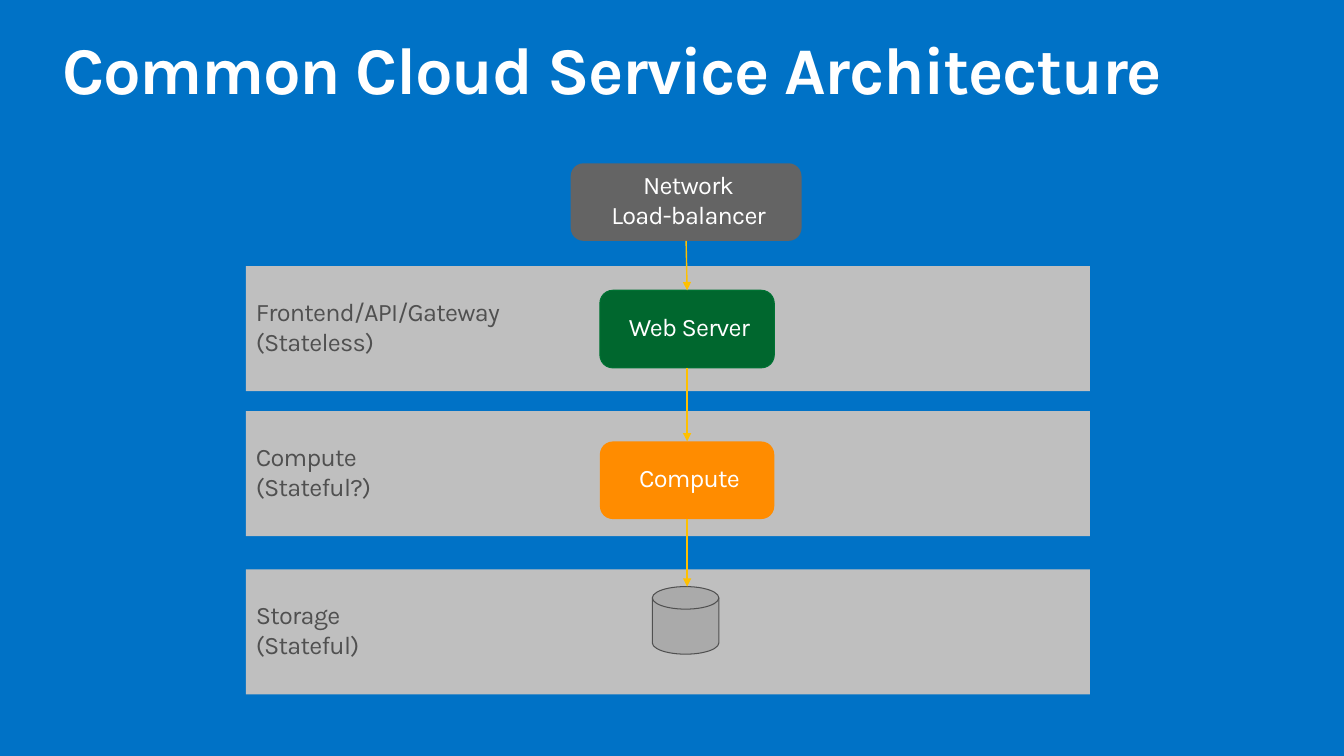
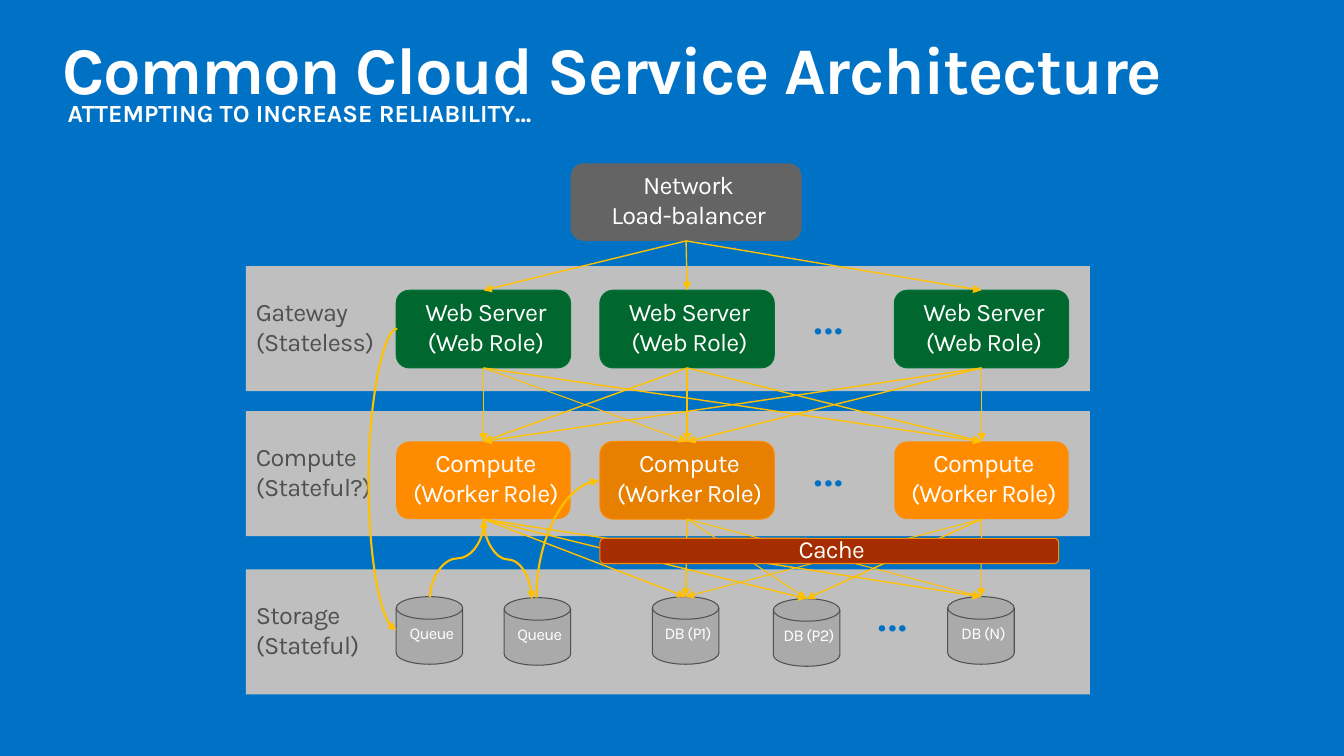
from itertools import product

from lxml import etree
from pptx import Presentation
from pptx.dml.color import RGBColor
from pptx.enum.shapes import MSO_CONNECTOR as CONNECTOR, MSO_SHAPE as SHAPE
from pptx.enum.text import MSO_ANCHOR as ANCHOR, MSO_AUTO_SIZE as AUTO_SIZE, PP_ALIGN as ALIGN
from pptx.oxml.ns import qn
from pptx.util import Inches, Pt

FONT = "Karla"
BLUE, WHITE, BAND, INK = "0072C6", "FFFFFF", "BFBFBF", "505050"
GREY, GREEN, GREEN_EDGE = "646464", "00672E", "007233"
ORANGE, DARK_ORANGE, RUST, GOLD, DISK = "FF8C00", "E77F00", "A52D00", "FFC000", "AAAAAA"

# Shared geometry: left, top, width, height in inches
TITLE_BOX = (0.62, 0.27, 12.06, 0.82)
SUBTITLE_BOX = (0.67, 1.04, 12.01, 0.33)
BALANCER_BOX = (5.66, 1.62, 2.29, 0.77)
BAND_LEFT, BAND_WIDTH, BAND_HEIGHT = 2.44, 8.37, 1.24
BAND_TOPS = (2.64, 4.08, 5.65)
NODE_WIDTH, NODE_HEIGHT = 1.73, 0.77
NODE_LEFTS = (3.93, 5.95, 8.87)
WEB_TOP, COMPUTE_TOP = 2.88, 4.38
DISK_WIDTH, DISK_HEIGHT = 0.66, 0.67
TITLE_INSETS = (0, 0.1, 0.16, 0.1)
SHAPE_INSETS = (0.1, 0.05, 0.05, 0.1)


def color(hex_value):
    return RGBColor.from_string(hex_value)


def inches(values):
    return [Inches(value) for value in values]


def write(shape, lines, size, ink, insets=SHAPE_INSETS, anchor=ANCHOR.MIDDLE,
          align=ALIGN.LEFT, bold=False, spacing=0, line_spacing=None, wrap=True):
    """Fill a shape with one paragraph for each line."""
    frame = shape.text_frame
    frame.auto_size = AUTO_SIZE.NONE
    frame.word_wrap = wrap
    frame.vertical_anchor = anchor
    (frame.margin_left, frame.margin_top,
     frame.margin_right, frame.margin_bottom) = inches(insets)
    for index, line in enumerate(lines):
        paragraph = frame.paragraphs[0] if index == 0 else frame.add_paragraph()
        paragraph.alignment = align
        paragraph.line_spacing = line_spacing
        run = paragraph.add_run()
        run.text = line
        font = run.font
        font.name, font.size, font.bold = FONT, Pt(size), bold
        font.color.rgb = color(ink)
        if spacing:
            font._element.set("spc", str(int(spacing * 100)))


def add_block(slide, kind, box, fill, edge=None):
    shape = slide.shapes.add_shape(kind, *inches(box))
    shape.shadow.inherit = False
    shape.fill.solid()
    shape.fill.fore_color.rgb = color(fill)
    if edge:
        shape.line.color.rgb = color(edge)
        shape.line.width = Pt(0.75)
    else:
        shape.line.fill.background()
    return shape


def add_band(slide, box, lines):
    write(add_block(slide, SHAPE.RECTANGLE, box, BAND), lines, 18, INK, spacing=-0.5)


def add_node(slide, box, lines, fill, edge=None, size=18):
    node = add_block(slide, SHAPE.ROUNDED_RECTANGLE, box, fill, edge)
    write(node, lines, size, WHITE, align=ALIGN.CENTER, spacing=-0.5)


def add_disk(slide, left, top, label=None):
    box = (left, top, DISK_WIDTH, DISK_HEIGHT)
    disk = add_block(slide, SHAPE.FLOWCHART_MAGNETIC_DISK, box, DISK, INK)
    if label:
        write(disk, [label], 11.8, WHITE, anchor=ANCHOR.BOTTOM,
              align=ALIGN.CENTER, spacing=-0.5, wrap=False)


def add_ellipsis(slide, left, top):
    dots = slide.shapes.add_textbox(*inches((left, top, 0.8, 0.67)))
    write(dots, ["…"], 40, BLUE, insets=(0, 0, 0, 0), anchor=ANCHOR.TOP)


def add_arrow(slide, start, end, width=1, kind=CONNECTOR.STRAIGHT):
    arrow = slide.shapes.add_connector(kind, *inches((*start, *end)))
    arrow.line.color.rgb = color(GOLD)
    arrow.line.width = Pt(width)
    line = arrow.line._get_or_add_ln()
    etree.SubElement(line, qn("a:tailEnd"), type="triangle")
    etree.SubElement(arrow._element.spPr, qn("a:effectLst"))
    return arrow


def add_curve(slide, box, rotation, flips, preset="curvedConnector3", bend=0.5):
    """Add a curved arrow; box is its frame before rotation."""
    left, top, width, height = box
    curve = add_arrow(slide, (left, top), (left + width, top + height), 1.5, CONNECTOR.CURVE)
    properties = curve._element.spPr
    frame = properties.find(qn("a:xfrm"))
    frame.set("rot", str(rotation * 60000))
    for flip in flips:
        frame.set(flip, "1")
    geometry = properties.find(qn("a:prstGeom"))
    geometry.set("prst", preset)
    if preset == "curvedConnector3":
        guides = geometry.find(qn("a:avLst"))
        if guides is None:
            guides = etree.SubElement(geometry, qn("a:avLst"))
        etree.SubElement(guides, qn("a:gd"), name="adj1", fmla=f"val {int(bend * 100000)}")


def connect_all(slide, starts, ends, thin=()):
    """Link every start to every end; thin lists the index pairs of finer lines."""
    for (i, start), (j, end) in product(enumerate(starts), enumerate(ends)):
        add_arrow(slide, start, end, 0.75 if (i, j) in thin else 1)


def node_box(left, top):
    return left, top, NODE_WIDTH, NODE_HEIGHT


def top_point(box):
    return box[0] + box[2] / 2, box[1]


def bottom_point(box):
    return box[0] + box[2] / 2, box[1] + box[3]


def add_base(presentation, frontend):
    """Add a slide with its title, three tier bands and the load balancer."""
    slide = presentation.slides.add_slide(presentation.slide_layouts[5])
    title = slide.shapes.title
    title.left, title.top, title.width, title.height = inches(TITLE_BOX)
    write(title, ["Common Cloud Service Architecture"], 47.6, WHITE, TITLE_INSETS,
          ANCHOR.TOP, bold=True, spacing=-1, line_spacing=0.9)
    tiers = ((frontend, "(Stateless)"), ("Compute", "(Stateful?)"), ("Storage", "(Stateful)"))
    for top, lines in zip(BAND_TOPS, tiers):
        add_band(slide, (BAND_LEFT, top, BAND_WIDTH, BAND_HEIGHT), lines)
    add_node(slide, BALANCER_BOX, ["Network", "Load-balancer"], GREY)
    return slide


def build_simple(presentation):
    slide = add_base(presentation, "Frontend/API/Gateway")
    web, compute = (node_box(NODE_LEFTS[1], top) for top in (WEB_TOP, COMPUTE_TOP))
    add_node(slide, web, ["Web Server"], GREEN, GREEN_EDGE)
    add_node(slide, compute, ["Compute"], ORANGE)
    disk_top = 5.82
    add_disk(slide, 6.47, disk_top)
    # Chain from the balancer down to storage
    add_arrow(slide, bottom_point(BALANCER_BOX), top_point(web))
    add_arrow(slide, bottom_point(web), top_point(compute))
    add_arrow(slide, bottom_point(compute), (top_point(compute)[0], disk_top))


def build_reliable(presentation):
    slide = add_base(presentation, "Gateway")
    subtitle = slide.shapes.add_textbox(*inches(SUBTITLE_BOX))
    write(subtitle, ["ATTEMPTING TO INCREASE RELIABILITY…"], 17.6, WHITE, TITLE_INSETS,
          ANCHOR.BOTTOM, bold=True, line_spacing=0.9)

    # Web and worker roles
    webs = [node_box(left, WEB_TOP) for left in NODE_LEFTS]
    workers = [node_box(left, COMPUTE_TOP) for left in NODE_LEFTS]
    for box in webs:
        add_node(slide, box, ["Web Server", "(Web Role)"], GREEN, GREEN_EDGE)
    worker_styles = ((ORANGE, None), (DARK_ORANGE, ORANGE), (ORANGE, None))
    for box, (fill, edge) in zip(workers, worker_styles):
        add_node(slide, box, ["Compute", "(Worker Role)"], fill, edge)

    # Queues and databases
    disks = ((3.93, 5.92, "Queue"), (5, 5.93, "Queue"),
             (6.47, 5.92, "DB (P1)"), (7.67, 5.94, "DB (P2)"), (9.4, 5.92, "DB (N)"))
    for left, top, label in disks:
        add_disk(slide, left, top, label)
    for left, top in ((8.07, 2.76), (8.07, 4.27), (8.7, 5.71)):
        add_ellipsis(slide, left, top)

    # Straight links between the tiers
    web_bottoms = [bottom_point(box) for box in webs]
    worker_tops = [top_point(box) for box in workers]
    worker_bottoms = [bottom_point(box) for box in workers]
    database_tops = [(left + DISK_WIDTH / 2, top) for left, top, label in disks[2:]]
    connect_all(slide, [bottom_point(BALANCER_BOX)], [top_point(box) for box in webs])
    connect_all(slide, web_bottoms, worker_tops, thin=((0, 1), (2, 2)))
    connect_all(slide, worker_bottoms, database_tops,
                thin=((1, 1), (1, 2), (2, 0), (2, 2)))

    # Curved links through the queues
    add_curve(slide, (4.64, 5.31, 0.79, 0.48), 270, ["flipH"])
    add_curve(slide, (5.05, 5.04, 1.16, 0.62), 90, ["flipH", "flipV"], "curvedConnector2")
    add_curve(slide, (3.93, 3.26, 0.01, 2.99), 180, ["flipV"], bend=29)
    add_curve(slide, (4.15, 5.27, 0.77, 0.54), 90, ["flipH", "flipV"])

    # Cache in front of the databases
    add_node(slide, (5.95, 5.34, 4.55, 0.25), ["Cache"], RUST, ORANGE, size=17.6)


presentation = Presentation()
presentation.slide_width, presentation.slide_height = inches((13.33, 7.5))
background = presentation.slide_master.background.fill
background.solid()
background.fore_color.rgb = color(BLUE)
build_simple(presentation)
build_reliable(presentation)
presentation.save("out.pptx")
